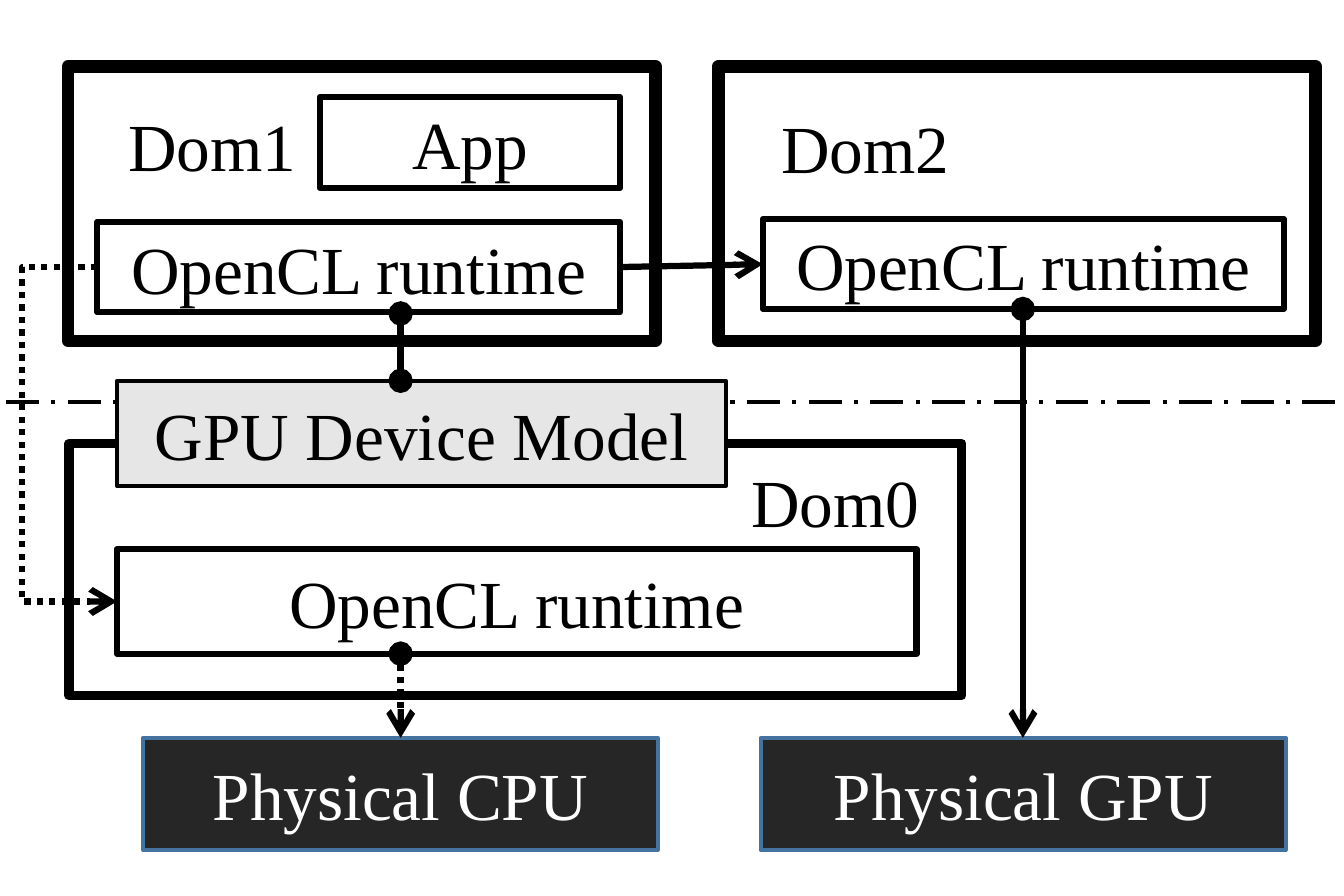
"""Build a slide that shows OpenCL runtimes across three virtual domains."""
from pptx import Presentation
from pptx.dml.color import RGBColor
from pptx.enum.dml import MSO_LINE_DASH_STYLE as Dash
from pptx.enum.shapes import MSO_CONNECTOR_TYPE as Link, MSO_SHAPE as Shape
from pptx.enum.text import MSO_ANCHOR as Anchor, MSO_AUTO_SIZE as AutoSize, PP_ALIGN as Align
from pptx.oxml.ns import qn
from pptx.util import Pt
from lxml.etree import SubElement

BLACK = RGBColor(0x00, 0x00, 0x00)
WHITE = RGBColor(0xFF, 0xFF, 0xFF)
LIGHT_GRAY = RGBColor(0xE7, 0xE6, 0xE6)
CHARCOAL = RGBColor(0x26, 0x26, 0x26)
BLUE = RGBColor(0x43, 0x73, 0x9E)
FONT = "Times New Roman"
FONT_SIZE = Pt(16.2)
RUNTIME = "OpenCL runtime"


def write(shape, text, color=BLACK, align=Align.CENTER):
    para = shape.text_frame.paragraphs[0]
    para.text = text
    para.alignment = align
    para.font.name = FONT
    para.font.size = FONT_SIZE
    para.font.color.rgb = color


def add_box(page, left, top, width, height, text="", weight=1.5,
            fill=None, line=BLACK, color=BLACK):
    box = page.shapes.add_shape(Shape.RECTANGLE, Pt(left), Pt(top), Pt(width), Pt(height))
    box.shadow.inherit = False
    if fill is None:
        box.fill.background()
    else:
        box.fill.solid()
        box.fill.fore_color.rgb = fill
    box.line.color.rgb = line
    box.line.width = Pt(weight)
    if text:
        frame = box.text_frame
        frame.word_wrap = True
        frame.vertical_anchor = Anchor.MIDDLE
        frame.margin_left = frame.margin_right = 0
        write(box, text, color)


def add_label(page, left, top, text):
    label = page.shapes.add_textbox(Pt(left), Pt(top), Pt(55.4), Pt(26.6))
    label.text_frame.word_wrap = False
    label.text_frame.auto_size = AutoSize.SHAPE_TO_FIT_TEXT
    write(label, text, align=Align.LEFT)


def add_link(page, start, end, head=None, tail=None, dash=None, weight=1.5, bend=None):
    kind = Link.STRAIGHT if bend is None else Link.ELBOW
    link = page.shapes.add_connector(kind, *map(Pt, start + end))
    link.line.color.rgb = BLACK
    link.line.width = Pt(weight)
    if dash is not None:
        link.line.dash_style = dash
    properties = link._element.spPr
    outline = properties.find(qn("a:ln"))
    for tag, mark in (("a:headEnd", head), ("a:tailEnd", tail)):
        if mark:
            SubElement(outline, qn(tag), type=mark)
    SubElement(properties, qn("a:effectLst"))
    if bend is not None:
        ratio = round((bend - start[0]) / (end[0] - start[0]) * 100000)
        guides = properties.find(qn("a:prstGeom")).get_or_add_avLst()
        SubElement(guides, qn("a:gd"), name="adj1", fmla=f"val {ratio}")


def main():
    deck = Presentation()
    deck.slide_width, deck.slide_height = Pt(324), Pt(216)
    page = deck.slides.add_slide(deck.slide_layouts[6])

    add_link(page, (1.5, 96.9), (321.8, 96.9), dash=Dash.LONG_DASH_DOT, weight=1)

    add_box(page, 16.4, 16, 141.6, 66.2, weight=3)
    add_box(page, 77.1, 23.4, 72.4, 21.9, "App")
    add_label(page, 23.8, 21.6, "Dom1")
    add_box(page, 23.4, 53.5, 126.1, 21.8, RUNTIME)

    add_box(page, 16.6, 106.9, 215.3, 60.8, weight=2.25)
    add_box(page, 28.2, 91.8, 146.8, 25.3, "GPU Device Model", weight=1, fill=LIGHT_GRAY)
    add_label(page, 174, 107.5, "Dom0")
    add_box(page, 28.2, 132.4, 192.8, 25.2, RUNTIME)

    add_box(page, 173.2, 16, 144, 66.2, weight=3)
    add_label(page, 181.3, 22, "Dom2")
    add_box(page, 183.9, 52.8, 125.6, 21.7, RUNTIME)

    for text, left, width in (("Physical CPU", 34.5, 124.1), ("Physical GPU", 183.4, 126.6)):
        add_box(page, left, 177.9, width, 27, text, weight=1,
                fill=CHARCOAL, line=BLUE, color=WHITE)

    add_link(page, (96.6, 75.6), (96.6, 91.8), head="oval", tail="oval")
    add_link(page, (96.6, 157.6), (96.6, 177.9), head="oval", tail="arrow", dash=Dash.ROUND_DOT)
    add_link(page, (246.6, 74.5), (246.6, 177.9), head="oval", tail="arrow")
    add_link(page, (149.5, 64.4), (183.9, 63.7), tail="arrow")
    add_link(page, (23.4, 64.4), (28.2, 145), tail="arrow", dash=Dash.ROUND_DOT, bend=5.3)

    deck.save("out.pptx")


main()
